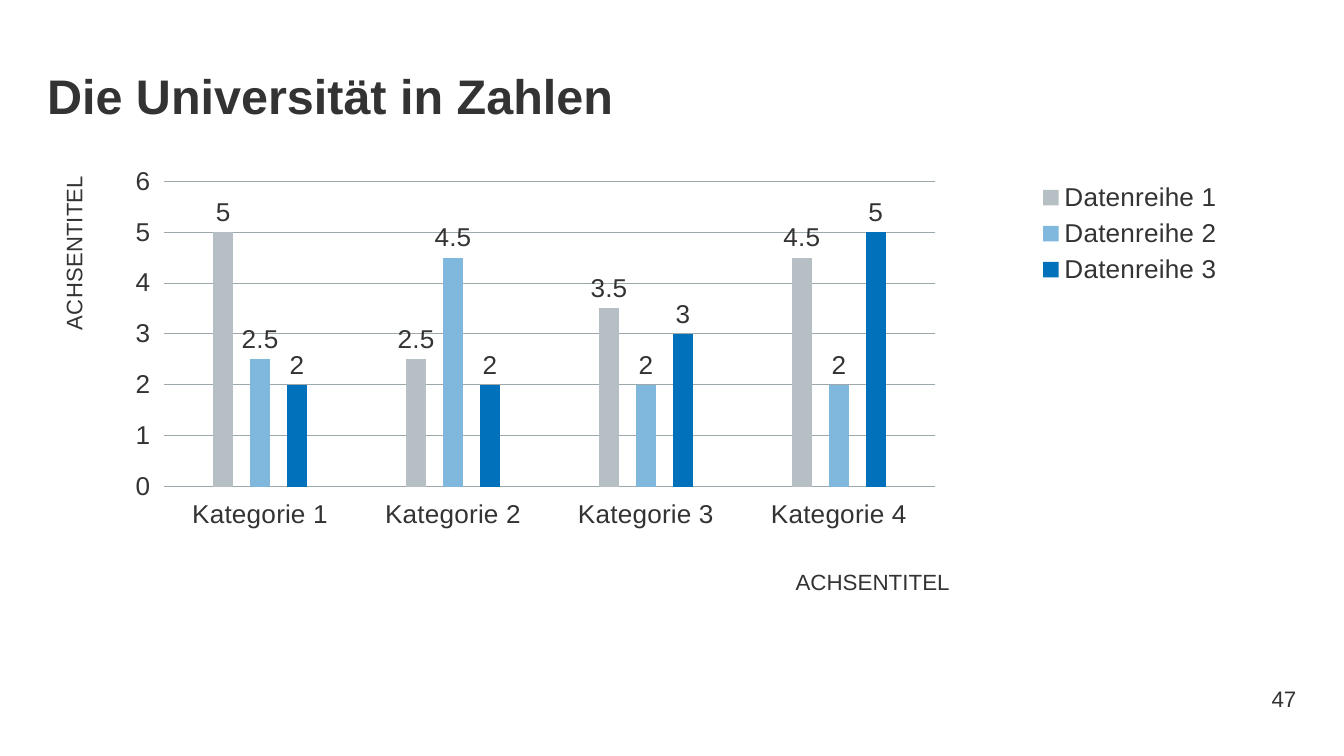
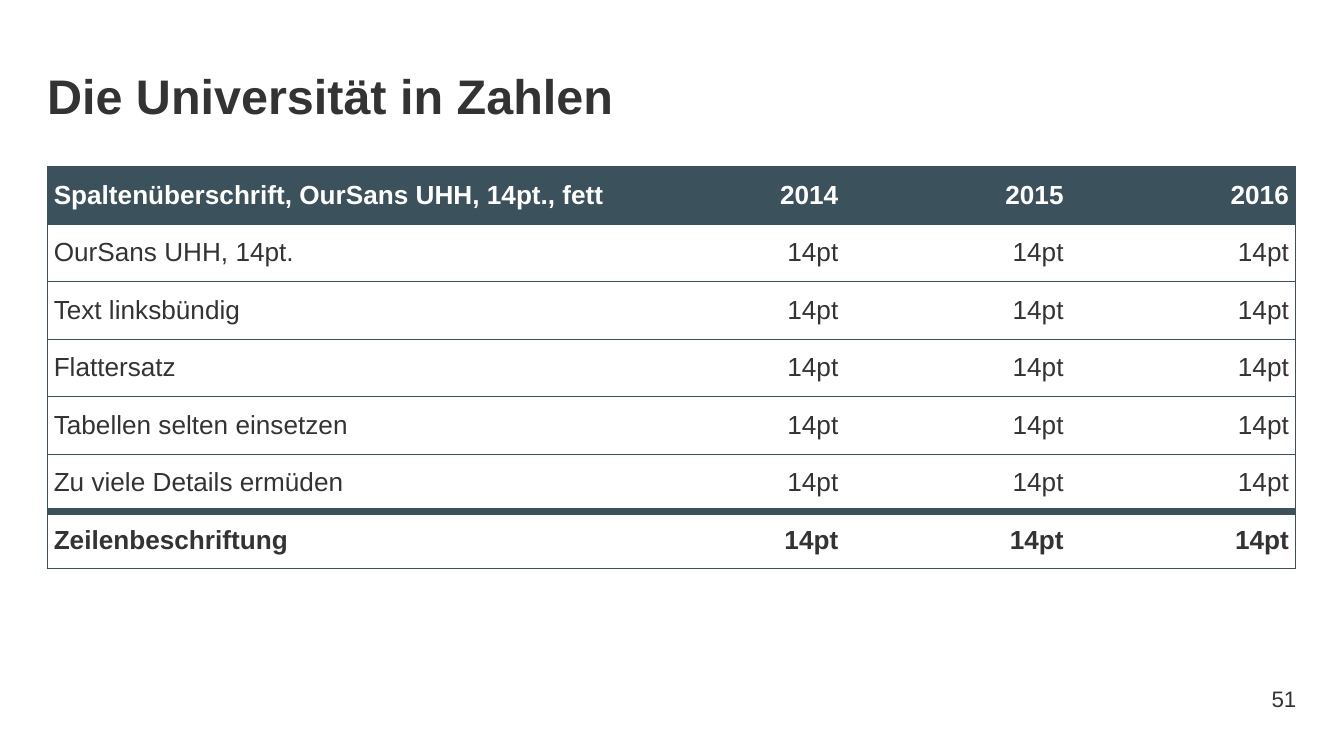
from lxml import etree
from pptx import Presentation
from pptx.chart.data import CategoryChartData
from pptx.dml.color import RGBColor
from pptx.enum.chart import XL_CHART_TYPE, XL_LABEL_POSITION, XL_LEGEND_POSITION, XL_TICK_MARK
from pptx.enum.text import MSO_ANCHOR, MSO_AUTO_SIZE, PP_ALIGN
from pptx.oxml import parse_xml
from pptx.oxml.ns import nsdecls, qn
from pptx.util import Pt

CLUSTERED = XL_CHART_TYPE.COLUMN_CLUSTERED
OUT_END = XL_LABEL_POSITION.OUTSIDE_END
LEGEND_RIGHT = XL_LEGEND_POSITION.RIGHT
TICK_OUT = XL_TICK_MARK.OUTSIDE
MIDDLE = MSO_ANCHOR.MIDDLE
NO_FIT = MSO_AUTO_SIZE.NONE
LEFT, RIGHT = PP_ALIGN.LEFT, PP_ALIGN.RIGHT

FONT = "Arial"
COLORS = {
    "text": "333333",
    "white": "FFFFFF",
    "slate": "3B515B",
    "grid": "9DA8AD",
    "series": ["B6BFC3", "80B8DD", "0271BB"],
}
MARGIN, CONTENT_TOP, CONTENT_W = 25.2, 89.3, 668.9
PLAIN_TABLE = "{2D5ABB26-0587-4C30-8999-92F81FD0307C}"


def style_font(font, size, color=COLORS["text"], bold=False):
    font.name = FONT
    font.size = Pt(size)
    font.bold = bold
    font.color.rgb = RGBColor.from_string(color)


def set_layout(parent, x, y, w=None, h=None, inner=False):
    for old in parent.findall(qn("c:layout")):
        parent.remove(old)
    target = '<c:layoutTarget val="inner"/>' if inner else ""
    values = {"x": x, "y": y, "w": w, "h": h}
    modes = '<c:xMode val="edge"/><c:yMode val="edge"/>'
    sizes = "".join(f'<c:{k} val="{v}"/>' for k, v in values.items() if v is not None)
    layout = parse_xml(
        f'<c:layout {nsdecls("c")}><c:manualLayout>{target}{modes}{sizes}'
        "</c:manualLayout></c:layout>"
    )
    before = [e for e in parent if e.tag in (qn("c:tx"), qn("c:legendPos"))]
    parent.insert(parent.index(before[-1]) + 1 if before else 0, layout)


prs = Presentation()
prs.slide_width, prs.slide_height = Pt(720), Pt(405)

slides = []
for number in ("47", "51"):
    s = prs.slides.add_slide(prs.slide_layouts[5])
    slides.append(s)

    title = s.shapes.title
    title.left, title.top, title.width, title.height = (
        Pt(MARGIN), Pt(26.6), Pt(CONTENT_W), Pt(45.4))
    tf = title.text_frame
    tf.text = "Die Universität in Zahlen"
    tf.auto_size = NO_FIT
    tf.vertical_anchor = MIDDLE
    tf.margin_left = 0
    p = tf.paragraphs[0]
    p.alignment = LEFT
    p.line_spacing = 1.1
    style_font(p.runs[0].font, 26, bold=True)

    sp = s.shapes.add_textbox(Pt(643), Pt(363.6), Pt(51.5), Pt(21.6))
    tf = sp.text_frame
    tf.text = number
    tf.word_wrap = True
    tf.vertical_anchor = MIDDLE
    tf.margin_right = 0
    p = tf.paragraphs[0]
    p.alignment = RIGHT
    style_font(p.runs[0].font, 12)

chart_slide, table_slide = slides

data = CategoryChartData()
data.categories = [f"Kategorie {i}" for i in range(1, 5)]
rows = [(5, 2.5, 3.5, 4.5), (2.5, 4.5, 2, 2), (2, 2, 3, 5)]
for i, values in enumerate(rows, 1):
    data.add_series(f"Datenreihe {i}", values)
chart = chart_slide.shapes.add_chart(
    CLUSTERED, Pt(MARGIN), Pt(CONTENT_TOP), Pt(694.8), Pt(232.6), data).chart
chart.has_title = False
style_font(chart.font, 18)

plot = chart.plots[0]
plot.gap_width, plot.overlap, plot.vary_by_categories = 500, -86, False
for series, color in zip(plot.series, COLORS["series"]):
    series.format.fill.solid()
    series.format.fill.fore_color.rgb = RGBColor.from_string(color)
    labels = series.data_labels
    labels.show_value = True
    labels.position = OUT_END
    style_font(labels.font, 14)
set_layout(chart._chartSpace.chart.plotArea, 0.09, 0.028, 0.595, 0.716, inner=True)

axes = [(chart.category_axis, 0, 0.574, 0.925), (chart.value_axis, -5400000, 0.007, 0.012)]
for axis, rotation, x, y in axes:
    axis.major_tick_mark = TICK_OUT
    axis.format.line.fill.background()
    style_font(axis.tick_labels.font, 14)
    tf = axis.axis_title.text_frame
    tf.text = "ACHSENTITEL"
    style_font(tf.paragraphs[0].runs[0].font, 12)
    tf._txBody.bodyPr.set("rot", str(rotation))
    tf._txBody.bodyPr.set("vert", "horz")
    set_layout(axis.axis_title._element, x, y)

value_axis = chart.value_axis
value_axis.minimum_scale, value_axis.maximum_scale, value_axis.major_unit = 0, 6, 1
value_axis.has_major_gridlines = True
line = value_axis.major_gridlines.format.line
line.width = Pt(0.5)
line.color.rgb = RGBColor.from_string(COLORS["grid"])

chart.has_legend = True
legend = chart.legend
legend.position = LEGEND_RIGHT
legend.include_in_layout = False
style_font(legend.font, 14)
set_layout(legend._element, 0.735, 0.016, 0.2, 0.27)

row_labels = [
    "OurSans UHH, 14pt.", "Text linksbündig", "Flattersatz",
    "Tabellen selten einsetzen", "Zu viele Details ermüden", "Zeilenbeschriftung",
]
cells = [["Spaltenüberschrift, OurSans UHH, 14pt., fett", "2014", "2015", "2016"]]
cells += [[label] + ["14pt"] * 3 for label in row_labels]
total, last_col = len(cells) - 1, len(cells[0]) - 1

table = table_slide.shapes.add_table(
    len(cells), len(cells[0]), Pt(MARGIN), Pt(CONTENT_TOP), Pt(CONTENT_W), Pt(215.6)).table
table.horz_banding = False
table._tbl.tblPr.find(qn("a:tableStyleId")).text = PLAIN_TABLE
for col, width in zip(table.columns, [306.8] + [120.7] * 3):
    col.width = Pt(width)
for r, texts in enumerate(cells):
    table.rows[r].height = Pt(30.8)
    for c, text in enumerate(texts):
        cell = table.cell(r, c)
        cell.text = text
        cell.vertical_anchor = MIDDLE
        cell.margin_left = cell.margin_right = Pt(3.6)
        p = cell.text_frame.paragraphs[0]
        p.alignment = RIGHT if c else LEFT
        color = COLORS["text"] if r else COLORS["white"]
        style_font(p.runs[0].font, 14, color, bold=r in (0, total))

        borders = {
            "lnL": 0 if c else 0.5,
            "lnR": 0.5 if c == last_col else 0,
            "lnT": 4 if r == total else 0.5,
            "lnB": 4 if r == total - 1 else 0.5,
        }
        tcPr = cell._tc.get_or_add_tcPr()
        for side, width in borders.items():
            if width:
                ln = etree.SubElement(tcPr, qn(f"a:{side}"), w=str(Pt(width)))
                fill = etree.SubElement(ln, qn("a:solidFill"))
                etree.SubElement(fill, qn("a:srgbClr"), val=COLORS["slate"])
        if r:
            cell.fill.background()
        else:
            cell.fill.solid()
            cell.fill.fore_color.rgb = RGBColor.from_string(COLORS["slate"])

prs.save("out.pptx")
